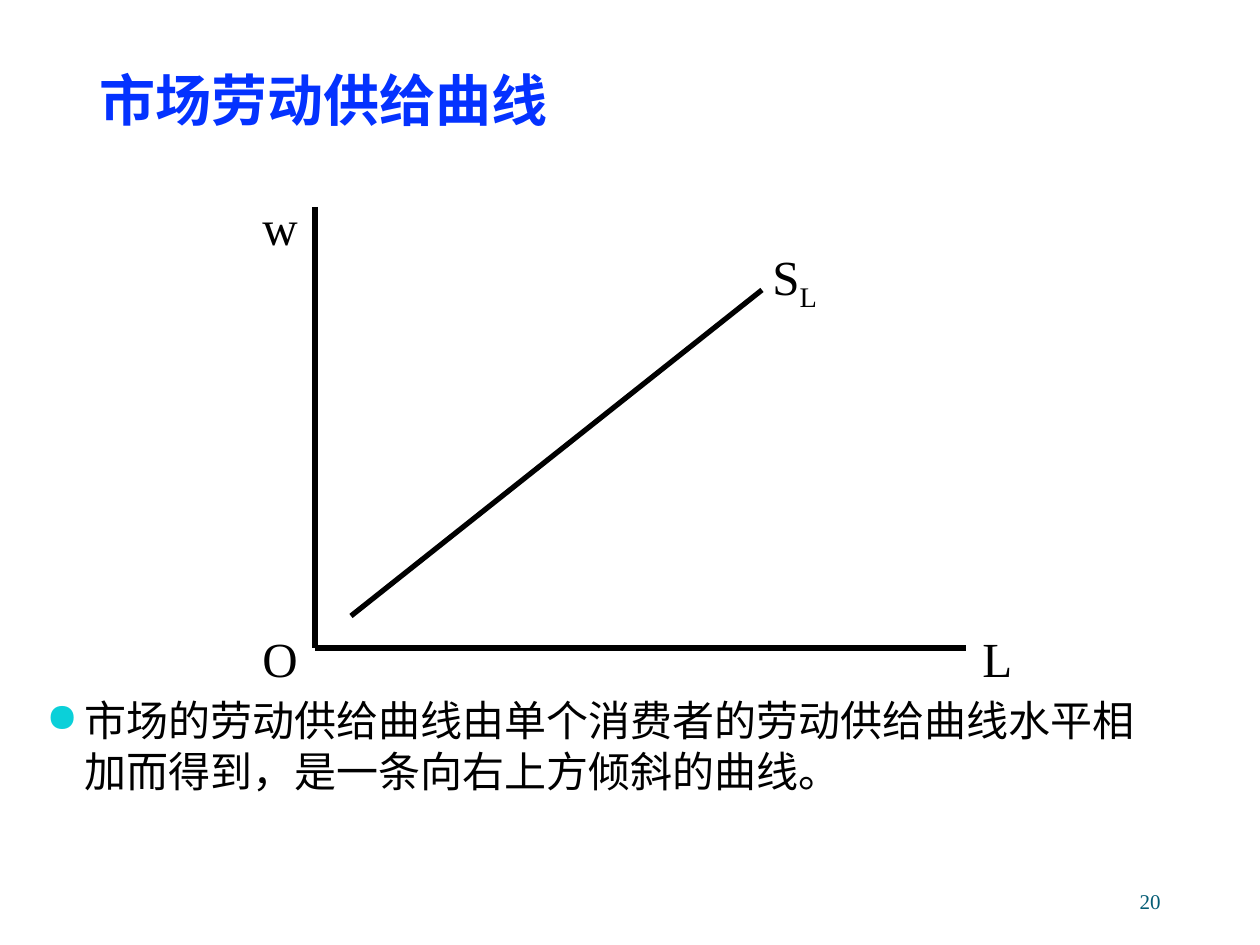
from dataclasses import dataclass
from lxml import etree
from pptx import Presentation, util as u
from pptx.dml.color import RGBColor
from pptx.enum import shapes, text
from pptx.oxml.ns import qn

PX = u.Inches(1) // 126


@dataclass(frozen=True)
class Theme:
    title: str = "0432FF"
    ink: str = "000000"
    number: str = "045C75"
    bullet: str = "0BD0D9"
    cjk: str = "Noto Sans CJK SC"
    latin: str = "Times New Roman"
    title_pt: int = 32
    label_pt: int = 28
    body_pt: int = 24
    number_pt: int = 12
    line_pt: int = 3


class Deck:
    def __init__(self, prs, theme):
        self.t = theme
        self.s = prs.slides.add_slide(prs.slide_layouts[6])

    def text(self, box, words, size, color, font, bold=False, anchor="TOP", align="LEFT", top=6):
        sp = self.s.shapes.add_textbox(*(v * PX for v in box))
        tf = sp.text_frame
        tf.word_wrap = True
        tf.vertical_anchor = text.MSO_ANCHOR[anchor]
        tf.margin_top = top * PX
        p = tf.paragraphs[0]
        p.alignment = text.PP_ALIGN[align]
        p.font.size = u.Pt(size)
        p.font.bold = bold
        p.font.color.rgb = RGBColor.from_string(color)
        p.font.name = font
        props = p._p.pPr.find(qn("a:defRPr"))
        etree.SubElement(props, qn("a:ea"), typeface=font)
        p.add_run().text = words
        return p

    def title(self, box, words):
        t = self.t
        p = self.text(box, words, t.title_pt, t.title, t.cjk, bold=True, anchor="MIDDLE")
        p.line_spacing = 0.9

    def label(self, x, y, words, sub=""):
        t = self.t
        p = self.text((x, y, 95, 72), words, t.label_pt, t.ink, t.latin, top=12)
        if sub:
            r = p.add_run()
            r.text = sub
            r._r.get_or_add_rPr().set("baseline", "-25000")

    def bullet(self, box, words):
        t = self.t
        p = self.text(box, words, t.body_pt, t.ink, t.cjk)
        pPr = p._p.pPr
        pPr.set("marL", str(38 * PX))
        pPr.set("indent", str(-38 * PX))
        color = etree.Element(qn("a:buClr"))
        etree.SubElement(color, qn("a:srgbClr"), val=t.bullet)
        size = etree.Element(qn("a:buSzPct"), val="95000")
        char = etree.Element(qn("a:buChar"), char="●")
        for i, el in enumerate((color, size, char)):
            pPr.insert(i, el)

    def number(self, box, words):
        t = self.t
        self.text(box, words, t.number_pt, t.number, t.latin, anchor="MIDDLE", align="RIGHT")

    def line(self, *ends):
        sp = self.s.shapes.add_connector(shapes.MSO_CONNECTOR.STRAIGHT, *(v * PX for v in ends))
        sp.line.width = u.Pt(self.t.line_pt)
        sp.line.color.rgb = RGBColor.from_string(self.t.ink)
        etree.SubElement(sp._element.spPr, qn("a:effectLst"))


def main():
    prs = Presentation()
    prs.slide_width, prs.slide_height = 1260 * PX, 945 * PX
    d = Deck(prs, Theme())
    d.title((87, 68, 1071, 71), "市场劳动供给曲线")
    d.number((890, 876, 283, 50), "20")

    x0, y0 = 315, 648
    d.line(x0, 207, x0, y0)
    d.line(x0, y0, 966, y0)
    d.line(351, 616, 762, 290)

    d.label(250, 616, "O")
    d.label(970, 616, "L")
    d.label(250, 184, "w")
    d.label(760, 234, "S", sub="L")
    d.bullet((34, 689, 1134, 203), "市场的劳动供给曲线由单个消费者的劳动供给曲线水平相加而得到，是一条向右上方倾斜的曲线。")
    prs.save("out.pptx")


if __name__ == "__main__":
    main()
